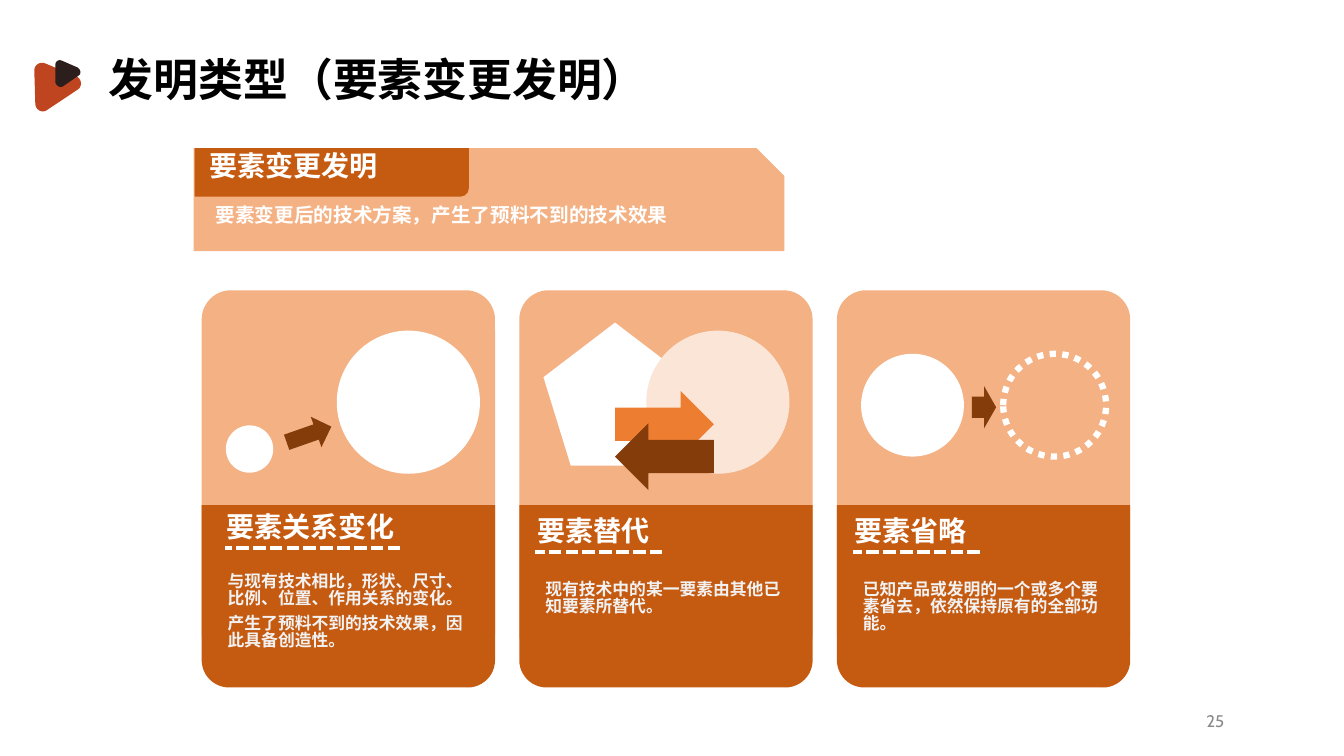
"""Build the slide on inventions that change an element."""
from dataclasses import dataclass
from typing import Any

from lxml import etree
from pptx import Presentation
from pptx import util as u
from pptx.dml.color import RGBColor
from pptx.enum import dml, shapes, text
from pptx.oxml.ns import qn

PX = 9144
CJK = "Noto Sans CJK SC"
PALE, DEEP, DARK, WHITE = "F4B183", "C55A11", "843C0B", "FFFFFF"
KIND = shapes.MSO_SHAPE
Box = tuple[int, int, int, int]
Point = tuple[int, int]


@dataclass
class Form:
    kind: Any
    box: Box
    fill: str = ""
    turn: float = 0
    adj: tuple[float, ...] = ()


@dataclass
class Label:
    box: Box
    lines: tuple[str, ...]
    size: int
    color: str = WHITE


@dataclass
class Card:
    left: int
    head: str
    body: tuple[str, ...]
    inset: int
    drop: int
    rule: Box


@dataclass
class Blob:
    color: str
    bends: tuple[tuple[Point, Point, Point, Point], ...]


BANNER = [
    Form(KIND.SNIP_1_RECTANGLE, (192, 147, 586, 102), PALE, adj=(0.27,)),
    Form(KIND.SNIP_ROUND_RECTANGLE, (193, 147, 272, 48), DEEP, 180, (0.17, 0.01)),
]
NOTES = [
    Label((204, 200, 556, 34), ("要素变更后的技术方案，产生了预料不到的技术效果",), 14),
    Label((198, 148, 204, 44), ("要素变更发明",), 20),
]
CARDS = [
    Card(200, "要素关系变化",
         ("与现有技术相比，形状、尺寸、比例、位置、作用关系的变化。",
          "产生了预料不到的技术效果，因此具备创造性。"),
         15, 506, (223, 544, 174, 0)),
    Card(515, "要素替代", ("现有技术中的某一要素由其他已知要素所替代。",),
         8, 510, (531, 548, 126, 0)),
    Card(830, "要素省略", ("已知产品或发明的一个或多个要素省去，依然保持原有的全部功能。",),
         8, 510, (846, 548, 126, 0)),
]
ICONS = [
    Form(KIND.OVAL, (224, 422, 47, 47), WHITE),
    Form(KIND.RIGHT_ARROW, (283, 415, 47, 32), DARK, 340.7),
    Form(KIND.OVAL, (334, 328, 142, 142), WHITE),
    Form(KIND.REGULAR_PENTAGON, (539, 320, 142, 142), WHITE),
    Form(KIND.OVAL, (641, 328, 142, 142), "FBE5D6"),
    Form(KIND.RIGHT_ARROW, (610, 388, 98, 66), "ED7D31"),
    Form(KIND.RIGHT_ARROW, (610, 420, 98, 66), DARK, 180),
    Form(KIND.OVAL, (854, 351, 102, 102), WHITE),
    Form(KIND.RIGHT_ARROW, (964, 383, 24, 42), DARK),
]
RING = Form(KIND.OVAL, (995, 351, 102, 102))
BLOBS = [
    Blob("BF4521", (((35, 103), (35, 109), (42, 113), (47, 109)),
                    ((77, 89), (82, 86), (81, 78), (76, 76)),
                    ((45, 63), (40, 61), (34, 64), (34, 70)))),
    Blob("2B1E1D", (((55, 82), (56, 85), (59, 87), (62, 86)),
                    ((78, 75), (81, 73), (80, 69), (77, 67)),
                    ((61, 60), (58, 59), (55, 61), (55, 64)))),
]


def put(item: Any, values: dict[str, Any]) -> None:
    for name, value in values.items():
        setattr(item, name, value)


def paint(fill: Any, color: str) -> None:
    if color:
        fill.solid()
        fill.fore_color.rgb = RGBColor.from_string(color)
    else:
        fill.background()


def scale(box: Box) -> list[int]:
    return [n * PX for n in box]


def stroke(line: Any, width: float, dash: Any) -> None:
    paint(line.fill, WHITE)
    put(line, {"width": u.Pt(width), "dash_style": dash})


def draw(slide: Any, form: Form) -> Any:
    shape = slide.shapes.add_shape(form.kind, *scale(form.box))
    for i, value in enumerate(form.adj):
        shape.adjustments[i] = value
    shape.rotation = form.turn
    shape.shadow.inherit = False
    paint(shape.fill, form.fill)
    paint(shape.line.fill, "")
    return shape


def write(shape: Any, label: Label, face: str = CJK, bold: bool = True,
          align: Any = text.PP_ALIGN.LEFT, anchor: Any = text.MSO_ANCHOR.TOP) -> None:
    put(shape, dict(zip(("left", "top", "width", "height"), scale(label.box))))
    frame = shape.text_frame
    put(frame, {"word_wrap": True, "auto_size": text.MSO_AUTO_SIZE.NONE,
                "vertical_anchor": anchor})
    for i, line in enumerate(label.lines):
        para = frame.add_paragraph() if i else frame.paragraphs[0]
        put(para, {"alignment": align, "space_before": u.Pt(6 if i else 0),
                   "line_spacing": 0.83 if face == CJK else 1.0})
        run = para.add_run()
        run.text = line
        put(run.font, {"size": u.Pt(label.size), "bold": bold, "name": face})
        paint(run.font.fill, label.color)
        east = etree.SubElement(run.font._element, qn("a:ea"))
        east.set("typeface", face)


def note(slide: Any, label: Label, **style: Any) -> None:
    write(slide.shapes.add_textbox(0, 0, 0, 0), label, **style)


def rule(slide: Any, box: Box) -> None:
    x, y, wide, tall = scale(box)
    line = slide.shapes.add_connector(
        shapes.MSO_CONNECTOR.STRAIGHT, x + wide, y, x, y + tall)
    stroke(line.line, 3, dml.MSO_LINE.SQUARE_DOT)
    etree.SubElement(line._element.spPr, qn("a:effectLst"))


def panel(slide: Any, card: Card) -> None:
    x = card.left
    draw(slide, Form(KIND.ROUNDED_RECTANGLE, (x, 288, 291, 370), PALE, adj=(0.1,)))
    draw(slide, Form(KIND.ROUND_2_SAME_RECTANGLE, (x, 501, 291, 181), DEEP, 180, (0.15, 0)))
    note(slide, Label((x + card.inset, card.drop, 189, 44), (card.head,), 20))
    tall = 101 if len(card.body) > 1 else 71
    note(slide, Label((x + 16, card.drop + (59 if len(card.body) > 1 else 63), 268, tall),
                      card.body, 12, "F2F2F2"))
    rule(slide, card.rule)


def curve(bend: tuple[Point, ...], steps: int = 8) -> list[tuple[float, float]]:
    spots = []
    for i in range(steps + 1):
        t = i / steps
        rate = ((1 - t) ** 3, 3 * t * (1 - t) ** 2, 3 * t * t * (1 - t), t ** 3)
        spots.append(tuple(sum(r * p[k] for r, p in zip(rate, bend)) * PX for k in (0, 1)))
    return spots


def outline(slide: Any, blob: Blob) -> None:
    spots = [spot for bend in blob.bends for spot in curve(bend)]
    pen = slide.shapes.build_freeform(*map(round, spots[0]))
    pen.add_line_segments([(round(x), round(y)) for x, y in spots[1:]])
    shape = pen.convert_to_shape()
    shape.shadow.inherit = False
    paint(shape.fill, blob.color)
    paint(shape.line.fill, "")


def main() -> None:
    deck = Presentation()
    put(deck, {"slide_width": 1333 * PX, "slide_height": 750 * PX})
    slide = deck.slides.add_slide(deck.slide_layouts[5])
    write(slide.shapes.title, Label((98, 55, 667, 60), ("发明类型（要素变更发明）",), 32, "000000"))
    note(slide, Label((924, 695, 300, 40), ("25",), 12, "898989"), face="Cabin", bold=False,
         align=text.PP_ALIGN.RIGHT, anchor=text.MSO_ANCHOR.MIDDLE)
    for form in BANNER:
        draw(slide, form)
    for label in NOTES:
        note(slide, label)
    for card in CARDS:
        panel(slide, card)
    for form in ICONS:
        draw(slide, form)
    stroke(draw(slide, RING).line, 4.5, dml.MSO_LINE.ROUND_DOT)
    for blob in BLOBS:
        outline(slide, blob)
    deck.save("out.pptx")


if __name__ == "__main__":
    main()
